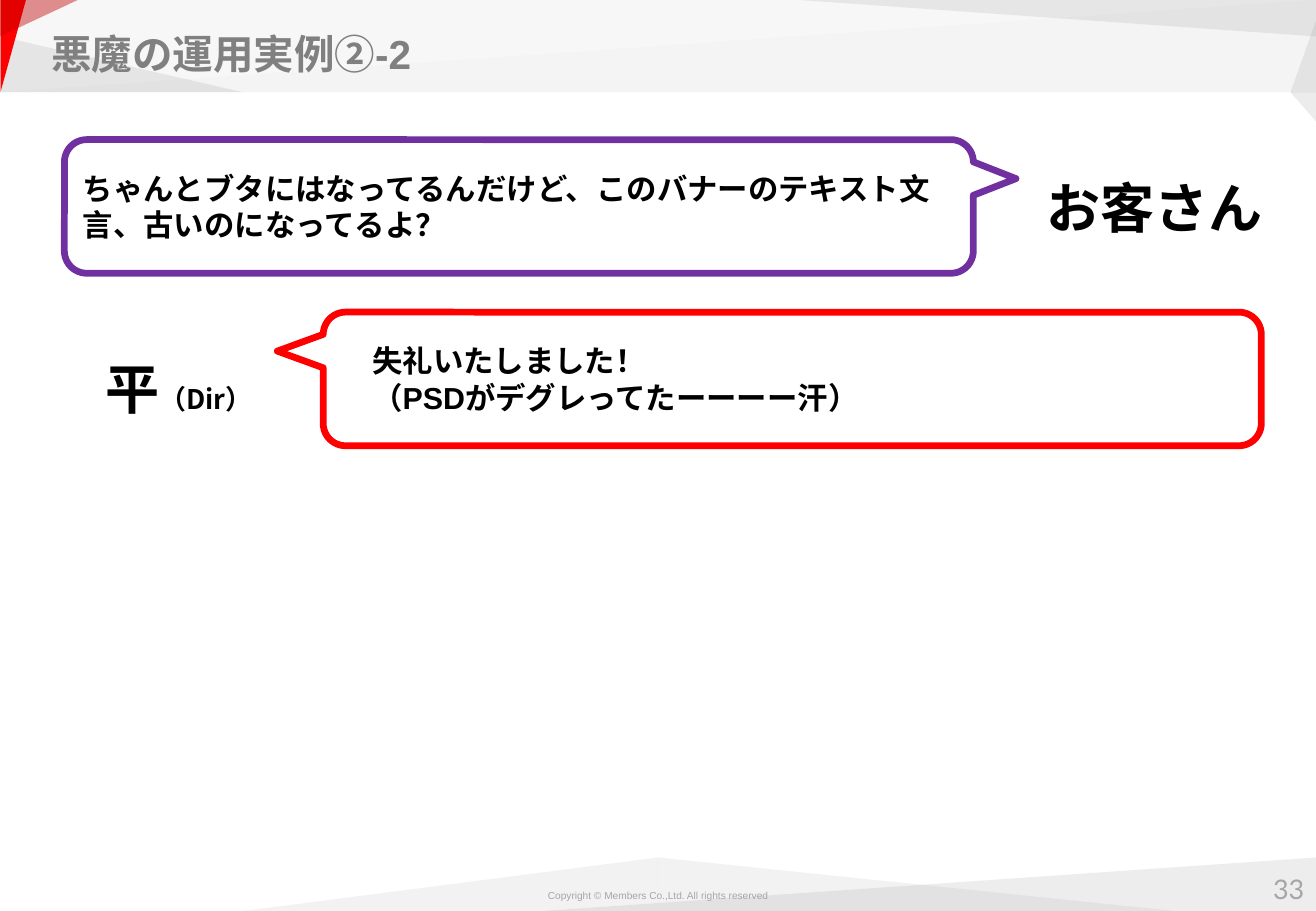
from pptx import Presentation
from pptx.dml.color import RGBColor
from pptx.enum.shapes import MSO_SHAPE as Preset
from pptx.enum.text import MSO_ANCHOR as Anchor, PP_ALIGN as Align
from pptx.oxml.ns import qn
from pptx.oxml.xmlchemy import OxmlElement
from pptx.util import Inches, Pt

PAGE_W, PAGE_H = 10.83, 7.5
HEADER_H, FOOTER_H = 0.76, 0.44
CALLOUT_H = 1.1
GREY, SILVER, BLACK, WHITE, RED = "808080", "A6A6A6", "000000", "FFFFFF", "FF0000"


def color(hex_code):
    return RGBColor.from_string(hex_code)


def place(part, left, top, width, height):
    box = {"left": left, "top": top, "width": width, "height": height}
    for side, length in box.items():
        setattr(part, side, Inches(length))


def set_frame(frame, inset=None, **formats):
    if inset is not None:
        for side in ("left", "top", "right", "bottom"):
            setattr(frame, f"margin_{side}", Inches(inset))
    for key, value in formats.items():
        setattr(frame, key, value)


def add_run(paragraph, text, size, font="Arial", fill=BLACK, bold=True):
    run = paragraph.add_run()
    run.text = text
    for key, value in {"name": font, "size": Pt(size), "bold": bold}.items():
        setattr(run.font, key, value)
    run.font.color.rgb = color(fill)
    if font != "Lato":
        east_asian = OxmlElement("a:ea")
        east_asian.set("typeface", "Noto Sans CJK JP")
        run.font._element.append(east_asian)


def add_facet(slide, box, fill, opacity=100, rotation=0, flip=""):
    facet = slide.shapes.add_shape(Preset.RIGHT_TRIANGLE, *map(Inches, box))
    facet.shadow.inherit = False
    facet.rotation = rotation
    facet.fill.solid()
    facet.fill.fore_color.rgb = color(fill)
    facet.line.fill.background()
    properties = facet._element.spPr
    for axis in flip:
        properties.get_or_add_xfrm().set(f"flip{axis}", "1")
    if opacity < 100:
        alpha = OxmlElement("a:alpha")
        alpha.set("val", str(opacity * 1000))
        properties.find(qn("a:solidFill"))[0].append(alpha)


def add_label(slide, box, runs, font, fill=BLACK, bold=True, align=Align.LEFT, **formats):
    label = slide.shapes.add_textbox(*map(Inches, box))
    set_frame(label.text_frame, **formats)
    paragraph = label.text_frame.paragraphs[0]
    paragraph.alignment = align
    for text, size in runs:
        add_run(paragraph, text, size, font, fill, bold)


def draw_header(slide, title, left, top, width, height):
    right = left + width
    add_facet(slide, (left, top, 8.23, height), WHITE, 36, 180, "H")
    add_facet(slide, (left, top, width, height), "BFBFBF", 12, flip="V")
    add_facet(slide, (left, top, width, height), SILVER, 12, 180, "V")
    add_facet(slide, (right - 4.25, top, 4.25, 0.3), GREY, 14, 180)
    add_facet(slide, (right - 0.4, top + 0.36, 0.59, 0.21), GREY, 14, 270)
    add_facet(slide, (left, top + height - 0.46, 2, 0.46), GREY, 15)
    add_facet(slide, (left - 0.27, top + 0.27, height, 0.21), RED, rotation=90)
    add_facet(slide, (left + 0.17, top - 0.17, 0.3, 0.64), "C00000", 43, 90)
    add_facet(slide, (right - 0.21, top + height, 0.21, 0.24), GREY, 15, flip="HV")

    heading = slide.shapes.title
    slide.shapes._spTree.append(heading._element)
    place(heading, left + 0.3, top + 0.12, width - 0.63, height - 0.12)
    set_frame(heading.text_frame, inset=0.12, vertical_anchor=Anchor.MIDDLE)
    paragraph = heading.text_frame.paragraphs[0]
    paragraph.alignment = Align.LEFT
    add_run(paragraph, title, 24, fill=GREY)


def draw_footer(slide, page_number, left, top, width, height):
    middle, right = left + width / 2, left + width
    add_facet(slide, (right - 6.36, top, 6.36, height), GREY, 14, 180, "V")
    add_facet(slide, (middle, top, 4.25, height), SILVER, 14)
    add_facet(slide, (middle - 3.41, top, 3.41, height), SILVER, 14, flip="H")
    small_print = {"fill": SILVER, "bold": False, "align": Align.CENTER,
                   "inset": 0, "word_wrap": False}
    add_label(slide, (middle - 0.92, top + 0.26, 1.84, 0.1),
              [("Copyright © Members Co.,Ltd. All rights reserved", 6)],
              "Arial", **small_print)
    add_label(slide, (right - 0.42, top + 0.12, 0.39, 0.27),
              [(page_number, 16)], "Lato", **small_print)


def draw_remark(slide, lines, outline, tail_x, speaker, speaker_offset,
                left, top, width, height, indent=0.1):
    bubble = slide.shapes.add_shape(Preset.ROUNDED_RECTANGULAR_CALLOUT,
                                    *map(Inches, (left, top, width, height)))
    bubble.shadow.inherit = False
    for index, value in enumerate((tail_x, -0.208, 0.167)):
        bubble.adjustments[index] = value
    bubble.fill.solid()
    bubble.fill.fore_color.rgb = color(WHITE)
    bubble.line.color.rgb = color(outline)
    bubble.line.width = Pt(4)
    frame = bubble.text_frame
    set_frame(frame, word_wrap=True, vertical_anchor=Anchor.MIDDLE,
              margin_left=Inches(indent))
    for index, line in enumerate(lines):
        paragraph = frame.add_paragraph() if index else frame.paragraphs[0]
        paragraph.alignment = Align.LEFT
        add_run(paragraph, line, 18)

    x, y = speaker_offset
    add_label(slide, (left + x, top + y, 2.25, 0.56), speaker,
              "Noto Sans CJK JP", word_wrap=True)


def main():
    deck = Presentation()
    deck.slide_width, deck.slide_height = Inches(PAGE_W), Inches(PAGE_H)
    slide = deck.slides.add_slide(deck.slide_layouts[5])

    draw_footer(slide, "33", 0, PAGE_H - FOOTER_H, PAGE_W, FOOTER_H)
    draw_header(slide, "悪魔の運用実例②-2", 0, 0, PAGE_W, HEADER_H)
    draw_remark(slide,
                ["ちゃんとブタにはなってるんだけど、このバナーのテキスト文言、古いのになってるよ？"],
                "7030A0", 0.547, [("お客さん", 32)], (7.98, 0.24),
                0.53, 1.15, 7.48, CALLOUT_H)
    draw_remark(slide, ["失礼いたしました！", "（PSDがデグレってたーーーー汗）"],
                RED, -0.549, [("平", 32), ("（Dir）", 16)], (-1.89, 0.31),
                2.66, 2.57, 7.72, CALLOUT_H, indent=0.35)

    deck.save("out.pptx")


if __name__ == "__main__":
    main()
